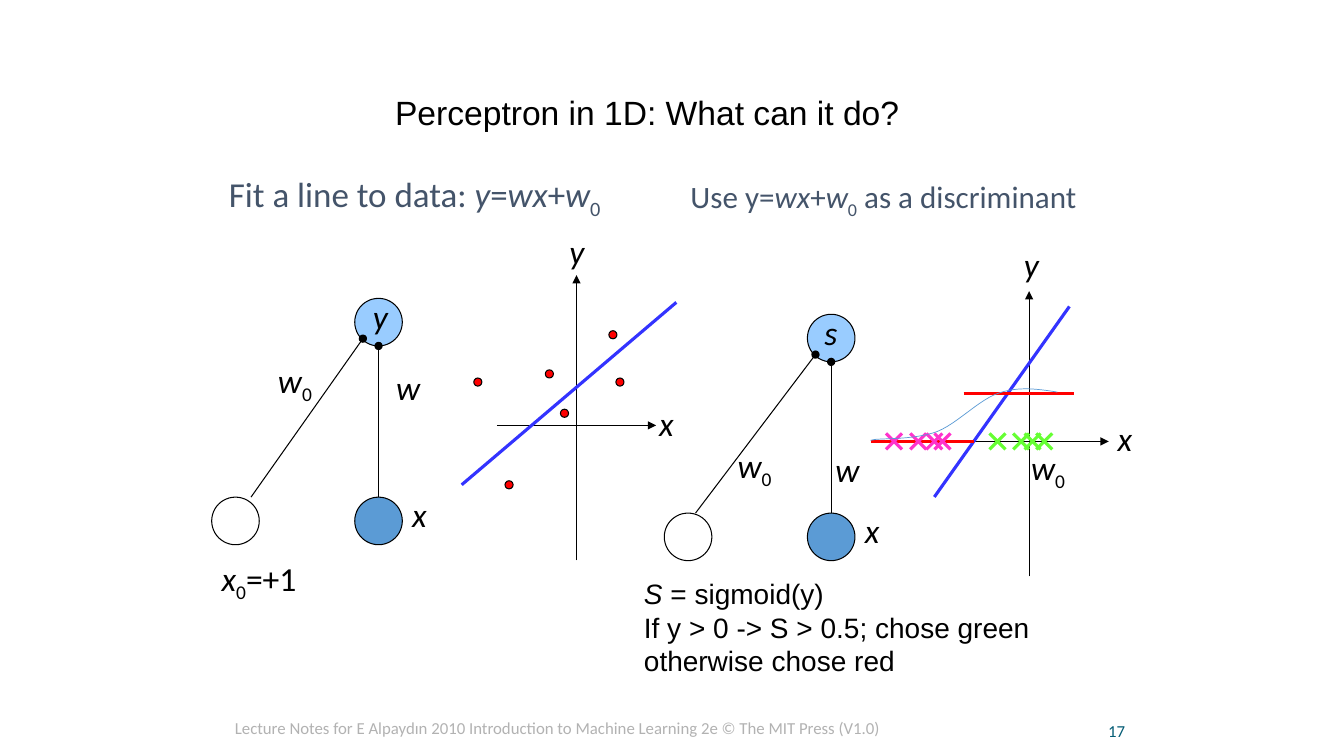
import pptx
import pptx.util
import pptx.dml.color
import pptx.enum.shapes
import pptx.enum.text
import pptx.oxml

Pt = pptx.util.Pt
rgb = pptx.dml.color.RGBColor.from_string
MSO_ANCHOR = pptx.enum.text.MSO_ANCHOR
MSO_AUTO_SIZE = pptx.enum.text.MSO_AUTO_SIZE
PP_ALIGN = pptx.enum.text.PP_ALIGN
A = 'xmlns:a="http://schemas.openxmlformats.org/drawingml/2006/main"'


def line(shapes, x1, y1, x2, y2, color="000000", width=0.75, tail=None):
    c = shapes.add_connector(pptx.enum.shapes.MSO_CONNECTOR.STRAIGHT, Pt(x1), Pt(y1), Pt(x2), Pt(y2))
    c.line.color.rgb = rgb(color)
    c.line.width = Pt(width)
    if tail:
        c.line._get_or_add_ln().append(pptx.oxml.parse_xml(f'<a:tailEnd {A} type="{tail}"/>'))
    c._element.spPr.append(pptx.oxml.parse_xml(f"<a:effectLst {A}/>"))
    return c


def write(p, runs, size, font="Calibri", color="000000"):
    for text, style in runs:
        r = p.add_run()
        r.text = text
        r.font.size = Pt(size)
        r.font.name = font
        r.font.color.rgb = rgb(color)
        r.font.italic = style == "italic"
        if style == "sub":
            r._r.get_or_add_rPr().set("baseline", "-25000")


prs = pptx.Presentation()
prs.slide_width, prs.slide_height = Pt(960), Pt(540)
s = prs.slides.add_slide(prs.slide_layouts[3])
title, fit, discriminant = list(s.placeholders)[:3]

title.left, title.top, title.width, title.height = Pt(275), Pt(62), Pt(378), Pt(36)
title.text_frame.word_wrap = False
title.text_frame.auto_size = MSO_AUTO_SIZE.NONE
p = title.text_frame.paragraphs[0]
p.alignment = PP_ALIGN.LEFT
write(p, [("Perceptron in 1D: What can it do?", "")], 24, "Arial")

model = [("wx", "italic"), ("+", ""), ("w", "italic"), ("0", "sub")]
headings = [
    (fit, 156.3, 120.3, 318, 42, 25, 0.9, [("Fit a line to data: ", ""), ("y", "italic"), ("=", "")] + model),
    (discriminant, 486, 126, 336, 30, 22.2, 0.8, [("Use y=", "")] + model + [(" as a discriminant", "")]),
]
for sp, x, y, w, h, size, spacing, runs in headings:
    sp.left, sp.top, sp.width, sp.height = Pt(x), Pt(y), Pt(w), Pt(h)
    sp.text_frame.auto_size = MSO_AUTO_SIZE.NONE
    p = sp.text_frame.paragraphs[0]
    pPr = p._p.get_or_add_pPr()
    pPr.set("marL", str(Pt(21.6)))
    pPr.set("indent", str(Pt(-21.6)))
    pPr.append(pptx.oxml.parse_xml(f"<a:buNone {A}/>"))
    p.line_spacing = spacing
    p.space_before = Pt(0)
    write(p, runs, size, color="44546A")

networks = [(151.2, 213.1, 28.1), (474.5, 224.5, 22.3)]
circles = []
for x, y, bias_x in networks:
    circles += [
        (x + 102.2, y, 34, "99CCFF"),
        (x, y + 142, 34, None),
        (x + 102.2, y + 142, 34, "5B9BD5"),
    ]
data = [(439.9, 270), (434.9, 236.2), (389.5, 264.2), (400.3, 292.3), (360.7, 343.4), (338.4, 270)]
circles += [(x, y, 5.8, "FF0000") for x, y in data]
ovals = []
for x, y, d, fill in circles:
    sp = s.shapes.add_shape(pptx.enum.shapes.MSO_SHAPE.OVAL, Pt(x), Pt(y), Pt(d), Pt(d))
    sp.shadow.inherit = False
    if fill:
        sp.fill.solid()
        sp.fill.fore_color.rgb = rgb(fill)
    else:
        sp.fill.background()
    sp.line.color.rgb = rgb("000000")
    sp.line.width = Pt(0.75)
    ovals.append(sp)

for (x, y, bias_x), unit in zip(networks, (ovals[2], ovals[5])):
    weight = line(s.shapes, x + 119.2, y + 142, x + 119.2, y + 34, tail="oval")
    weight.begin_connect(unit, 0)
    line(s.shapes, x + bias_x, y + 142, x + 108, y + 28.8, tail="oval")
    line(s.shapes, x + 203.8, y + 90.8, x + 317.5, y + 90.8, tail="triangle")
    line(s.shapes, x + 260.6, y + 187.2, x + 260.6, y - 16.6, tail="triangle")

plot_lines = [
    (329.8, 346.3, 483.1, 216, "3333FF"),
    (667.4, 355, 763.9, 218.9, "3333FF"),
    (688.3, 281.2, 767.5, 281.2, "FF0000"),
    (622, 315.3, 695.5, 315.3, "FF0000"),
]
for x1, y1, x2, y2, color in plot_lines:
    line(s.shapes, x1, y1, x2, y2, color, 2.25)

classes = [("66FF33", (745.9, 712.5, 729.4, 737.6)), ("FF33CC", (673.2, 638.6, 655.9, 667.4))]
for color, centers in classes:
    for x in centers:
        cross = s.shapes.add_group_shape()
        for dy in (-5.7, 5.7):
            line(cross.shapes, x - 5.7, 315.3 + dy, x + 5.7, 315.3 - dy, color, 2.25)

curve = [
    (755.3, 280.1), (741.6, 278), (728, 275.8), (713.5, 280.8),
    (699.8, 285.1), (684, 302.4), (669.6, 308.2),
    (654.5, 313.9), (632.9, 313.2), (625, 313.9),
    (617.8, 315.4), (625.7, 313.9), (625.7, 313.9),
]
points = []
for i in range(0, len(curve) - 1, 3):
    for step in range(1, 13):
        t = step / 12
        weights = ((1 - t) ** 3, 3 * t * (1 - t) ** 2, 3 * t ** 2 * (1 - t), t ** 3)
        points.append(tuple(Pt(sum(k * c[axis] for k, c in zip(weights, curve[i:i + 4]))) for axis in (0, 1)))
builder = s.shapes.build_freeform(Pt(curve[0][0]), Pt(curve[0][1]))
builder.add_line_segments(points, close=False)
sigmoid = builder.convert_to_shape()
sigmoid.shadow.inherit = False
sigmoid.fill.background()
sigmoid.line.color.rgb = rgb("5B9BD5")
sigmoid.line.width = Pt(0.5)

w0 = [("w", "italic"), ("0", "sub")]
labels = [
    (275.8, 258.5, 31.7, [("w", "italic")]),
    (191.5, 253.4, 40.3, w0),
    (259.2, 208.1, 25.2, [("y", "italic")]),
    (287.3, 349.2, 25.2, [("x", "italic")]),
    (151.2, 394.6, 69.8, [("x", "italic"), ("0", "sub"), ("=+1", "")]),
    (399.6, 161.3, 25.2, [("y", "italic")]),
    (463.7, 284.4, 25.2, [("x", "italic")]),
    (589.7, 316.8, 31.7, [("w", "italic")]),
    (519.8, 313.9, 40.3, w0),
    (724.3, 170.6, 25.2, [("y", "italic")]),
    (610.6, 360.7, 25.2, [("x", "italic")]),
    (581.8, 218.9, 23.8, [("s", "italic")]),
    (729.4, 315.4, 40.3, w0),
    (791.3, 295.2, 25.2, [("x", "italic")]),
]
for x, y, w, runs in labels:
    tf = s.shapes.add_textbox(Pt(x), Pt(y), Pt(w), Pt(36.7)).text_frame
    tf.word_wrap = False
    tf.auto_size = MSO_AUTO_SIZE.SHAPE_TO_FIT_TEXT
    write(tf.paragraphs[0], runs, 24)

tf = s.shapes.add_textbox(Pt(452.9), Pt(408.2), Pt(302.4), Pt(80)).text_frame
tf.word_wrap = False
tf.auto_size = MSO_AUTO_SIZE.SHAPE_TO_FIT_TEXT
rule = [
    [("S", "italic"), (" = sigmoid(y)", "")],
    [("If y > 0 -> S > 0.5; chose green", "")],
    [("otherwise chose red", "")],
]
for i, runs in enumerate(rule):
    p = tf.add_paragraph() if i else tf.paragraphs[0]
    write(p, runs, 20, "Arial")

credit = "Lecture Notes for E Alpaydın 2010 Introduction to Machine Learning 2e © The MIT Press (V1.0)"
footers = [
    (167.8, 498.2, 556.6, credit, "B2B2B2", PP_ALIGN.LEFT),
    (743.8, 500.4, 59.8, "17", "045C75", PP_ALIGN.RIGHT),
]
for x, y, w, text, color, align in footers:
    tf = s.shapes.add_textbox(Pt(x), Pt(y), Pt(w), Pt(28.8)).text_frame
    tf.word_wrap = True
    tf.vertical_anchor = MSO_ANCHOR.BOTTOM
    tf.margin_left = tf.margin_right = tf.margin_top = tf.margin_bottom = 0
    tf.paragraphs[0].alignment = align
    write(tf.paragraphs[0], [(text, "")], 12, color=color)

prs.save("out.pptx")
